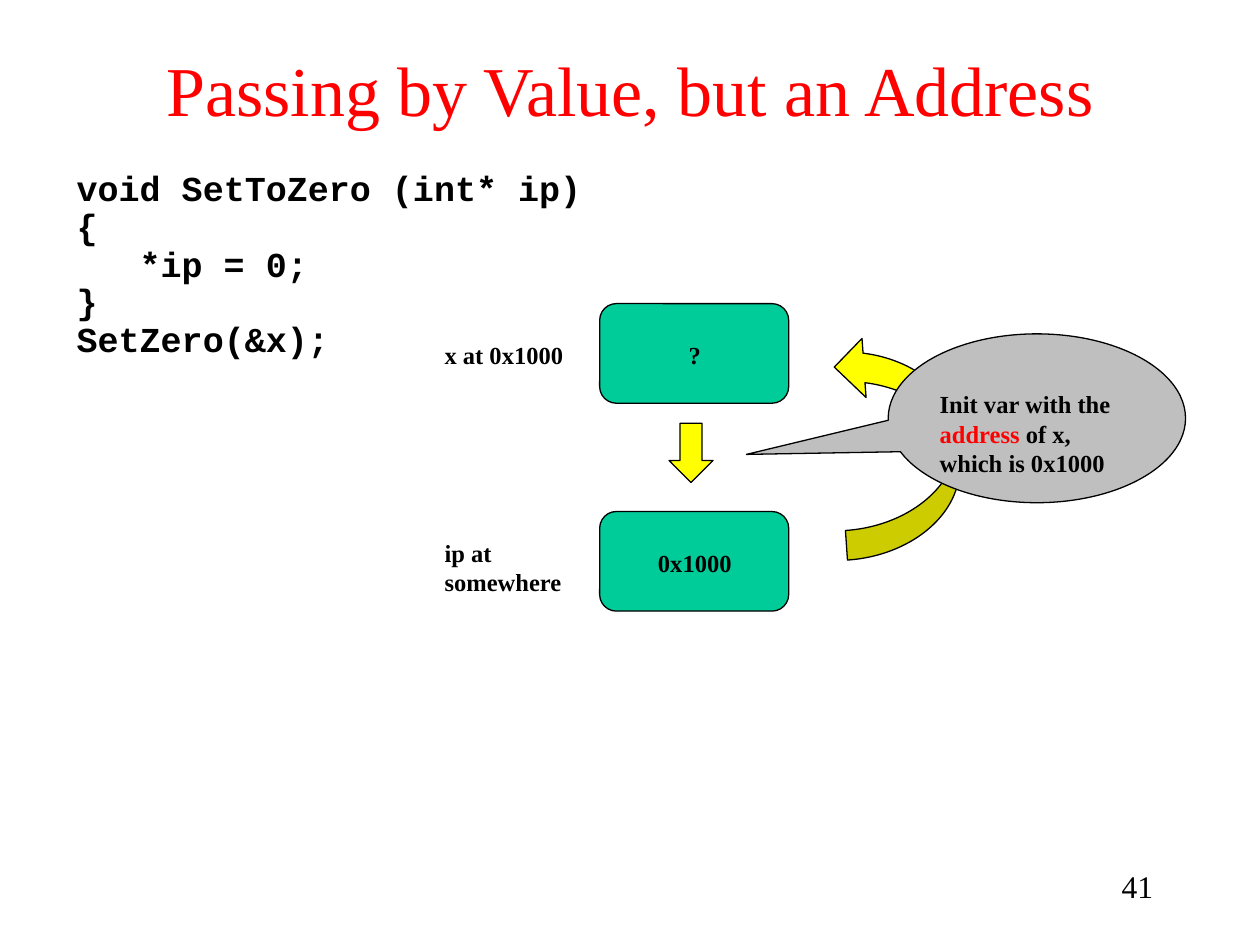
from pptx import Presentation
from pptx.dml.color import RGBColor
from pptx.enum.shapes import MSO_SHAPE as Shape
from pptx.enum.text import MSO_ANCHOR as Anchor, PP_ALIGN as Align
from pptx.util import Inches, Pt

BLACK = "000000"
RED = "FF0000"
YELLOW = "FFFF00"
GREEN = "00CC99"
GRAY = "BFBFBF"
SERIF = "Times New Roman"
CODE_FONT = "Courier New"

CODE = "void SetToZero (int* ip)\n{\n\t*ip = 0;\n}\nSetZero(&x);"
VARIABLES = [
    ("x at 0x1000", "?", 2.41, 2.65, 0.34, 2.65),
    ("ip at somewhere", "0x1000", 4.06, 4.22, 0.57, 4.3),
]


def color(value):
    return RGBColor.from_string(value)


def format_run(run, size, font_name, font_color, bold):
    run.font.size = Pt(size)
    run.font.name = font_name
    run.font.bold = bold
    run.font.color.rgb = color(font_color)


def add_text(slide, box, text, size=14, font_name=SERIF, font_color=BLACK,
             bold=True, align=Align.LEFT, anchor=Anchor.TOP, line_spacing=None):
    shape = slide.shapes.add_textbox(*map(Inches, box))
    frame = shape.text_frame
    frame.word_wrap = True
    frame.vertical_anchor = anchor
    frame.text = text
    for paragraph in frame.paragraphs:
        paragraph.alignment = align
        paragraph.line_spacing = line_spacing
        for run in paragraph.runs:
            format_run(run, size, font_name, font_color, bold)
    return shape


def add_preset(slide, kind, box, fill, rotation=0):
    shape = slide.shapes.add_shape(kind, *map(Inches, box))
    shape.shadow.inherit = False
    shape.rotation = rotation
    shape.fill.solid()
    shape.fill.fore_color.rgb = color(fill)
    shape.line.color.rgb = color(BLACK)
    shape.line.width = Pt(0.75)
    return shape


def add_variable(slide, label, value, cell_top, label_top, label_height, value_top):
    add_preset(slide, Shape.ROUNDED_RECTANGLE, (4.76, cell_top, 1.5, 0.79), GREEN)
    add_text(slide, (3.43, label_top, 1.18, label_height), label)
    add_text(slide, (5.08, value_top, 0.87, 0.34), value, align=Align.CENTER)


def add_callout(slide):
    callout = add_preset(slide, Shape.OVAL_CALLOUT, (7.05, 2.65, 2.36, 1.34), GRAY)
    callout.adjustments[0] = -0.977
    callout.adjustments[1] = 0.214
    note = add_text(slide, (7.36, 3.04, 1.73, 0.81), "Init var with the ")
    paragraph = note.text_frame.paragraphs[0]
    for text, font_color in (("address", RED), (" of x, which is 0x1000", BLACK)):
        run = paragraph.add_run()
        run.text = text
        format_run(run, 14, SERIF, font_color, True)


def main():
    presentation = Presentation()
    presentation.slide_width = Inches(10)
    presentation.slide_height = Inches(7.5)
    slide = presentation.slides.add_slide(presentation.slide_layouts[6])

    add_preset(slide, Shape.CURVED_UP_ARROW, (6.25, 3.06, 1.77, 0.94), YELLOW, 266.1)
    add_text(slide, (0, 0.08, 10, 1.25), "Passing by Value, but an Address", size=40,
             font_color=RED, bold=False, align=Align.CENTER, anchor=Anchor.MIDDLE)
    add_text(slide, (0.51, 1.31, 8.35, 1.62), CODE, size=20, font_name=CODE_FONT,
             line_spacing=0.9)
    for variable in VARIABLES:
        add_variable(slide, *variable)
    add_preset(slide, Shape.DOWN_ARROW, (5.31, 3.36, 0.35, 0.47), YELLOW)
    add_callout(slide)
    add_text(slide, (7.17, 6.83, 2.08, 0.5), "41", size=18, bold=False,
             align=Align.RIGHT)

    presentation.save("out.pptx")


if __name__ == "__main__":
    main()
